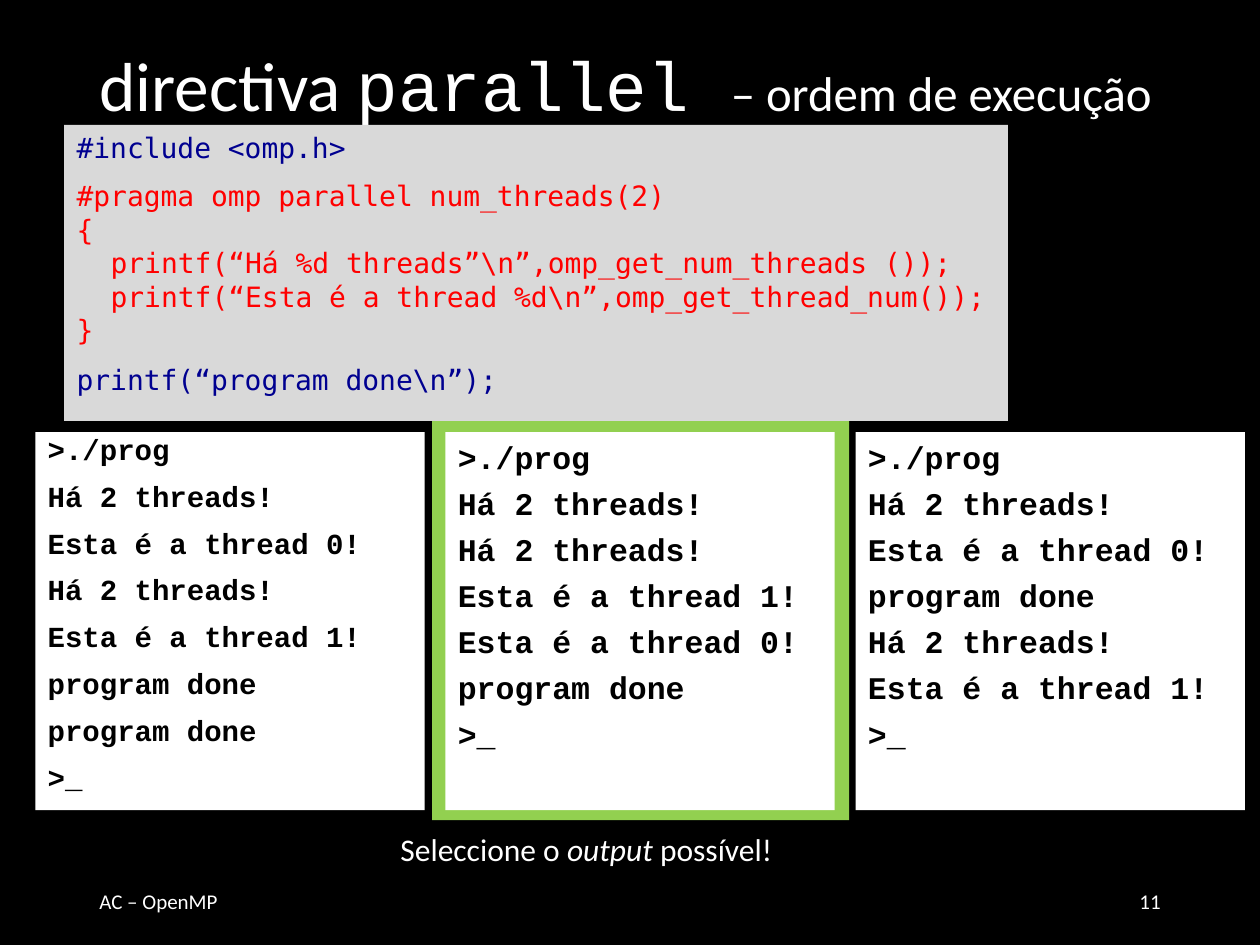
from pptx import Presentation
from pptx.dml.color import RGBColor
from pptx.enum.shapes import MSO_SHAPE
from pptx.enum.text import MSO_ANCHOR, PP_ALIGN
from pptx.util import Inches, Pt

RECT = MSO_SHAPE.RECTANGLE
TOP, MIDDLE = MSO_ANCHOR.TOP, MSO_ANCHOR.MIDDLE
LEFT, RIGHT = PP_ALIGN.LEFT, PP_ALIGN.RIGHT
SANS, MONO, CODE = "Calibri", "Courier New", "DejaVu Sans Mono"
COLORS = {
    "black": "000000",
    "white": "FFFFFF",
    "gray": "D9D9D9",
    "green": "92D050",
    "navy": "000090",
    "red": "FF0000",
}
START, HELLO, DONE, PROMPT = ">./prog", "Há 2 threads!", "program done", ">_"
FIRST, SECOND = "Esta é a thread 0!", "Esta é a thread 1!"


def color(name):
    return RGBColor.from_string(COLORS[name])


def add_run(para, text, size=18, font=SANS, tint="white", bold=False, italic=False):
    run = para.add_run()
    run.text = text
    face = run.font
    face.size, face.name = Pt(size), font
    face.bold, face.italic = bold, italic
    face.color.rgb = color(tint)


def add_para(frame, first, align=LEFT, before=0, after=0, line=1, margin=0, hang=0):
    para = frame.paragraphs[0] if first else frame.add_paragraph()
    para.alignment, para.line_spacing = align, line
    para.space_before, para.space_after = Pt(before), Pt(after)
    props = para._p.get_or_add_pPr()
    props.set("marL", str(Inches(margin)))
    props.set("indent", str(Inches(hang)))
    return para


def add_box(slide, box, fill=None, anchor=TOP, wrap=True):
    place = [Inches(n) for n in box]
    if fill:
        shape = slide.shapes.add_shape(RECT, *place)
        shape.shadow.inherit = False
        shape.fill.solid()
        shape.fill.fore_color.rgb = color(fill)
        shape.line.fill.background()
    else:
        shape = slide.shapes.add_textbox(*place)
    frame = shape.text_frame
    frame.word_wrap, frame.vertical_anchor = wrap, anchor
    return frame


def add_title(slide, box):
    para = add_para(add_box(slide, box, anchor=MIDDLE), True, line=0.9)
    add_run(para, "directiva ", size=39.6)
    add_run(para, "parallel ", size=39.6, font=MONO)
    add_run(para, "– ordem de execução", size=27.9)


def add_code(slide, box):
    frame = add_box(slide, box, fill="gray", wrap=False)
    lines = [
        ("#include <omp.h>", "navy", {"after": 8}),
        ("#pragma omp parallel num_threads(2)", "red", {}),
        ("{", "red", {}),
        ("printf(“Há %d threads”\\n”,omp_get_num_threads ());", "red", {"margin": 0.27}),
        ("printf(“Esta é a thread %d\\n”,omp_get_thread_num());", "red", {"margin": 0.27}),
        ("}", "red", {}),
        ("printf(“program done\\n”);", "navy", {"before": 9}),
    ]
    for i, (text, tint, form) in enumerate(lines):
        add_run(add_para(frame, i == 0, **form), text, size=16, font=CODE, tint=tint)


def add_output(slide, box, lines, size=18, before=4.7, line=1, margin=0.38):
    frame = add_box(slide, box, fill="white")
    for i, text in enumerate(lines):
        para = add_para(frame, i == 0, before=before, line=line, margin=margin, hang=-margin)
        add_run(para, text, size=size, font=MONO, tint="black", bold=True)


def add_outputs(slide, left, top):
    width, height, step, rim = 3.09, 3, 3.255, 0.1
    tight = {"size": 16.6, "before": 10.8, "line": 0.8, "margin": 0.25}
    panels = [
        ([START, HELLO, FIRST, HELLO, SECOND, DONE, DONE, PROMPT], tight),
        ([START, HELLO, HELLO, SECOND, FIRST, DONE, PROMPT], {}),
        ([START, HELLO, FIRST, DONE, HELLO, SECOND, PROMPT], {}),
    ]
    for i, (lines, form) in enumerate(panels):
        add_output(slide, (left + i * step, top, width, height), lines, **form)


def add_frame(slide, box):
    add_box(slide, box, fill="green")


def add_prompt(slide, box):
    para = add_para(add_box(slide, box, wrap=False), True)
    add_run(para, "Seleccione o ")
    add_run(para, "output ", italic=True)
    add_run(para, "possível!")


def add_footer(slide, box):
    left, top, width, height = box
    part = 2.25
    for text, x, align in (("AC – OpenMP", left, LEFT), ("11", left + width - part, RIGHT)):
        frame = add_box(slide, (x, top, part, height), anchor=MIDDLE)
        add_run(add_para(frame, True, align=align), text, size=12)


def main():
    deck = Presentation()
    deck.slide_width, deck.slide_height = Inches(10), Inches(7.5)
    slide = deck.slides.add_slide(deck.slide_layouts[6])
    slide.background.fill.solid()
    slide.background.fill.fore_color.rgb = color("black")
    add_frame(slide, (3.43, 3.28, 3.31, 3.23))
    add_title(slide, (0.69, 0.21, 8.62, 0.99))
    add_footer(slide, (0.69, 6.95, 8.62, 0.4))
    add_code(slide, (0.51, 0.99, 7.49, 2.35))
    add_outputs(slide, 0.28, 3.43)
    add_prompt(slide, (3.08, 6.54, 3.85, 0.44))
    deck.save("out.pptx")


if __name__ == "__main__":
    main()
